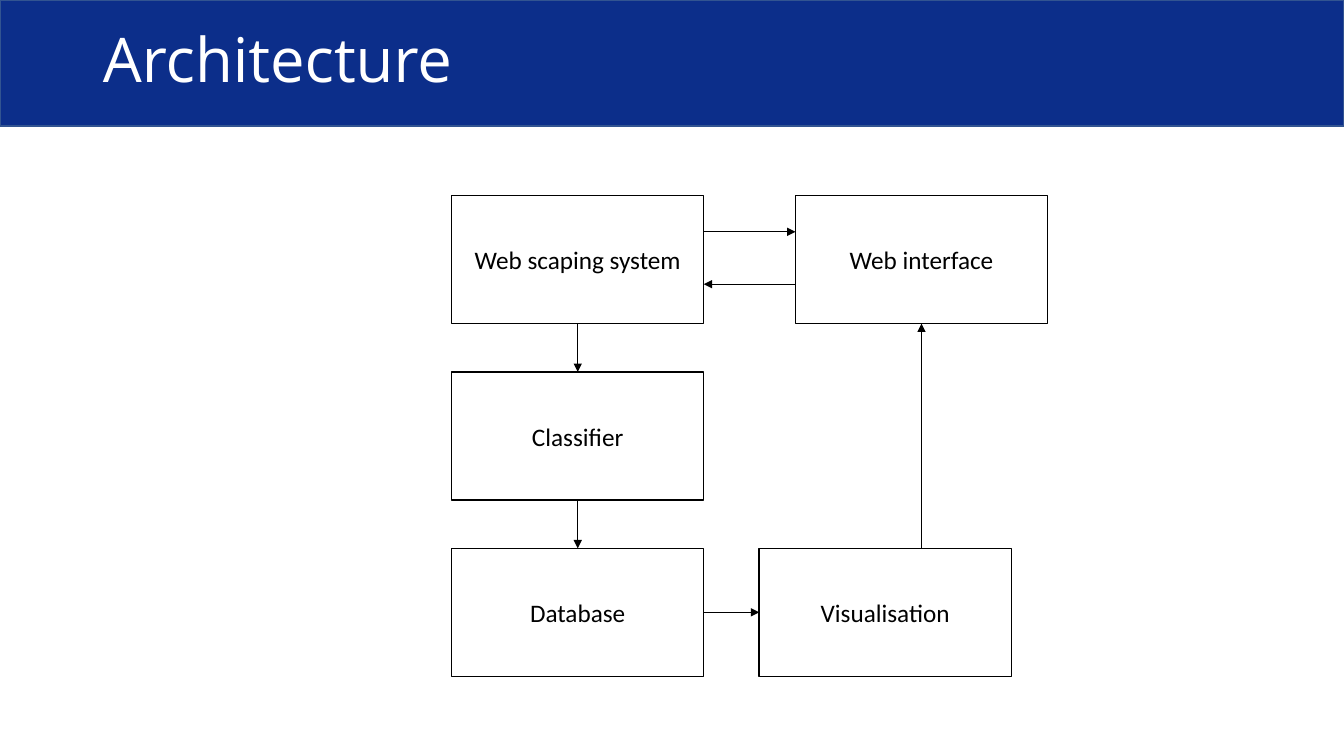
from dataclasses import dataclass
from typing import Any

from lxml.etree import SubElement
from pptx import Presentation
from pptx.dml.color import RGBColor
from pptx.enum.shapes import MSO_CONNECTOR, MSO_SHAPE
from pptx.enum.text import MSO_ANCHOR, MSO_AUTO_SIZE, PP_ALIGN
from pptx.oxml.ns import qn
from pptx.shapes.autoshape import Shape
from pptx.slide import Slide
from pptx.util import Inches, Pt

NAVY = RGBColor(0x0C, 0x2E, 0x8A)
BAND_EDGE = RGBColor(0x32, 0x54, 0x91)
BLACK = RGBColor(0, 0, 0)
WHITE = RGBColor(0xFF, 0xFF, 0xFF)

PAGE_WIDTH, PAGE_HEIGHT = 13.33, 7.5
BAND_HEIGHT = PAGE_HEIGHT / 6
BOX_WIDTH, BOX_HEIGHT = 2.5, 1.27
MAIN_COLUMN, VISUAL_COLUMN, INTERFACE_COLUMN = 4.48, 7.53, 7.89
FIRST_ROW, ROW_STEP = 1.94, 1.75
REQUEST_DROP, REPLY_DROP = 0.36, 0.88

TITLE_FRAME = {"word_wrap": True, "auto_size": MSO_AUTO_SIZE.NONE,
               "vertical_anchor": MSO_ANCHOR.MIDDLE}
TITLE_PARAGRAPH = {"alignment": PP_ALIGN.LEFT, "line_spacing": 0.9}
TITLE_FONT = {"name": "Open Sans", "size": Pt(44)}
BOX_FRAME = {"word_wrap": True, "vertical_anchor": MSO_ANCHOR.MIDDLE}
BOX_PARAGRAPH = {"alignment": PP_ALIGN.CENTER}
BOX_FONT = {"name": "Calibri", "size": Pt(18)}


@dataclass(frozen=True)
class Component:
    label: str
    left: float
    row: int

    @property
    def top(self) -> float:
        return FIRST_ROW + self.row * ROW_STEP

    @property
    def right(self) -> float:
        return self.left + BOX_WIDTH

    @property
    def bottom(self) -> float:
        return self.top + BOX_HEIGHT

    @property
    def center(self) -> float:
        return self.left + BOX_WIDTH / 2

    @property
    def middle(self) -> float:
        return self.top + BOX_HEIGHT / 2


@dataclass(frozen=True)
class Arrow:
    start: tuple[float, float]
    end: tuple[float, float]


SCRAPER = Component("Web scaping system", MAIN_COLUMN, 0)
VISUALISATION = Component("Visualisation", VISUAL_COLUMN, 2)
CLASSIFIER = Component("Classifier", MAIN_COLUMN, 1)
DATABASE = Component("Database", MAIN_COLUMN, 2)
INTERFACE = Component("Web interface", INTERFACE_COLUMN, 0)
COMPONENTS = (SCRAPER, VISUALISATION, CLASSIFIER, DATABASE, INTERFACE)

REQUEST_LEVEL = SCRAPER.top + REQUEST_DROP
REPLY_LEVEL = SCRAPER.top + REPLY_DROP
ARROWS = (
    Arrow((SCRAPER.right, REQUEST_LEVEL), (INTERFACE.left, REQUEST_LEVEL)),
    Arrow((INTERFACE.left, REPLY_LEVEL), (SCRAPER.right, REPLY_LEVEL)),
    Arrow((INTERFACE.center, VISUALISATION.top), (INTERFACE.center, INTERFACE.bottom)),
    Arrow((DATABASE.right, DATABASE.middle), (VISUALISATION.left, DATABASE.middle)),
    Arrow((SCRAPER.center, SCRAPER.bottom), (CLASSIFIER.center, CLASSIFIER.top)),
    Arrow((CLASSIFIER.center, CLASSIFIER.bottom), (DATABASE.center, DATABASE.top)),
)


def apply_format(target: Any, values: dict[str, Any]) -> None:
    for name, value in values.items():
        setattr(target, name, value)


def write_text(shape: Shape, text: str, frame_format: dict[str, Any],
               para_format: dict[str, Any], font_format: dict[str, Any],
               color: RGBColor) -> None:
    frame = shape.text_frame
    apply_format(frame, frame_format)
    para = frame.paragraphs[0]
    apply_format(para, para_format)
    span = para.add_run()
    span.text = text
    apply_format(span.font, font_format)
    span.font.color.rgb = color


def add_rectangle(page: Slide, left: float, top: float, width: float,
                  height: float, edge: RGBColor) -> Shape:
    box = page.shapes.add_shape(MSO_SHAPE.RECTANGLE, Inches(left), Inches(top),
                                Inches(width), Inches(height))
    box.shadow.inherit = False
    box.line.color.rgb = edge
    box.line.width = Pt(1)
    return box


def draw_header(page: Slide) -> None:
    band = add_rectangle(page, 0, 0, PAGE_WIDTH, BAND_HEIGHT, BAND_EDGE)
    band.fill.solid()
    band.fill.fore_color.rgb = NAVY
    title = page.shapes.title
    title.element.addprevious(band.element)
    apply_format(title, {"left": Inches(0.92), "top": Inches(-0.1),
                         "width": Inches(11.5), "height": Inches(1.45)})
    write_text(title, "Architecture", TITLE_FRAME, TITLE_PARAGRAPH, TITLE_FONT, WHITE)


def draw_component(page: Slide, component: Component) -> None:
    box = add_rectangle(page, component.left, component.top,
                        BOX_WIDTH, BOX_HEIGHT, BLACK)
    box.fill.background()
    write_text(box, component.label, BOX_FRAME, BOX_PARAGRAPH, BOX_FONT, BLACK)


def draw_arrow(page: Slide, arrow: Arrow) -> None:
    ends = [Inches(value) for value in (*arrow.start, *arrow.end)]
    connector = page.shapes.add_connector(MSO_CONNECTOR.STRAIGHT, *ends)
    connector.line.color.rgb = BLACK
    connector.line.width = Pt(0.5)
    SubElement(connector.line._get_or_add_ln(), qn("a:tailEnd"), type="triangle")
    SubElement(connector.element.spPr, qn("a:effectLst"))


def main() -> None:
    deck = Presentation()
    apply_format(deck, {"slide_width": Inches(PAGE_WIDTH),
                        "slide_height": Inches(PAGE_HEIGHT)})
    page = deck.slides.add_slide(deck.slide_layouts.get_by_name("Title Only"))
    draw_header(page)
    for component in COMPONENTS:
        draw_component(page, component)
    for arrow in ARROWS:
        draw_arrow(page, arrow)
    deck.save("out.pptx")


if __name__ == "__main__":
    main()
